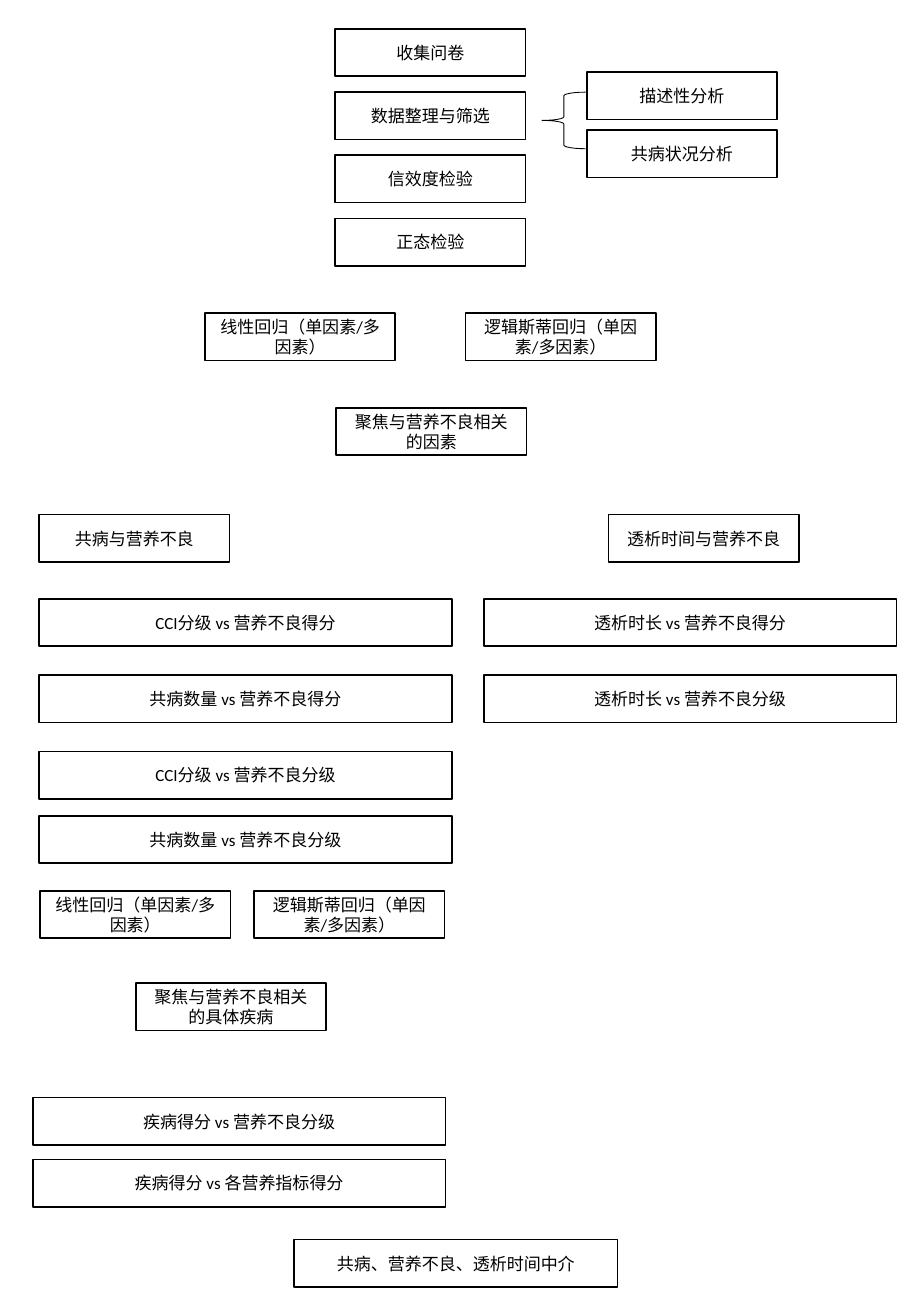
"""Build the flowchart of a study on comorbidity, dialysis time and malnutrition."""
from pptx import Presentation
from pptx.dml.color import RGBColor
from pptx.enum.shapes import MSO_SHAPE
from pptx.enum.text import MSO_ANCHOR, PP_ALIGN
from pptx.util import Inches, Pt

RECTANGLE, LEFT_BRACE = MSO_SHAPE.RECTANGLE, MSO_SHAPE.LEFT_BRACE
MIDDLE, CENTER = MSO_ANCHOR.MIDDLE, PP_ALIGN.CENTER

COLORS = {"box": "FFFFFF", "ink": "000000"}
FONT, FONT_SIZE = "Calibri", Pt(10.1)
SLIDE_WIDTH, SLIDE_HEIGHT = Inches(7.5), Inches(10.83)
NARROW, MEDIUM, WIDE, BOX_HEIGHT = 20.9, 35.5, 45.3, 3.6
REGRESSIONS = ["线性回归（单因素/多因素）", "逻辑斯蒂回归（单因素/多因素）"]


def color(name):
    """Return the named colour."""
    return RGBColor.from_string(COLORS[name])


def add_outline(slide, kind, left, top, width, height, line_width):
    """Add an outlined shape placed in percent of the slide's size."""
    shape = slide.shapes.add_shape(
        kind,
        round(SLIDE_WIDTH * left / 100), round(SLIDE_HEIGHT * top / 100),
        round(SLIDE_WIDTH * width / 100), round(SLIDE_HEIGHT * height / 100))
    shape.shadow.inherit = False
    shape.line.color.rgb = color("ink")
    shape.line.width = line_width
    return shape


def add_box(slide, text, left, top, width=NARROW):
    """Add a white box with centred text."""
    shape = add_outline(slide, RECTANGLE, left, top, width, BOX_HEIGHT, Pt(1))
    shape.fill.solid()
    shape.fill.fore_color.rgb = color("box")
    frame = shape.text_frame
    frame.text = text
    frame.word_wrap = True
    frame.vertical_anchor = MIDDLE
    paragraph = frame.paragraphs[0]
    paragraph.alignment = CENTER
    font = paragraph.runs[0].font
    font.name, font.size = FONT, FONT_SIZE
    font.color.rgb = color("ink")


def add_column(slide, texts, left, top, step, width=NARROW):
    """Stack boxes downwards at an equal step."""
    for index, text in enumerate(texts):
        add_box(slide, text, left, top + index * step, width)


def add_row(slide, texts, left, top, step):
    """Set boxes side by side at an equal step."""
    for index, text in enumerate(texts):
        add_box(slide, text, left + index * step, top)


def add_brace(slide, left, top, width, height):
    """Add a thin unfilled left brace."""
    brace = add_outline(slide, LEFT_BRACE, left, top, width, height, Pt(0.5))
    brace.fill.background()


def main():
    """Lay out the flowchart and save it."""
    presentation = Presentation()
    presentation.slide_width = SLIDE_WIDTH
    presentation.slide_height = SLIDE_HEIGHT
    slide = presentation.slides.add_slide(presentation.slide_layouts[6])

    add_column(slide, ["收集问卷", "数据整理与筛选", "信效度检验", "正态检验"],
               36.8, 2.2, 4.8)
    add_column(slide, ["描述性分析", "共病状况分析"], 64.4, 5.5, 4.4)
    add_brace(slide, 59.5, 7.0, 4.8, 4.3)
    add_row(slide, REGRESSIONS, 22.5, 23.8, 28.6)
    add_box(slide, "聚焦与营养不良相关的因素", 36.9, 31.0)

    add_row(slide, ["共病与营养不良", "透析时间与营养不良"], 4.3, 39.1, 62.5)
    add_column(slide, ["CCI分级 vs 营养不良得分", "共病数量 vs 营养不良得分",
                       "CCI分级 vs 营养不良分级"], 4.3, 45.5, 5.8, WIDE)
    add_box(slide, "共病数量 vs 营养不良分级", 4.3, 62.0, WIDE)
    add_column(slide, ["透析时长 vs 营养不良得分", "透析时长 vs 营养不良分级"],
               53.1, 45.5, 5.8, WIDE)

    add_row(slide, REGRESSIONS, 4.4, 67.7, 23.5)
    add_box(slide, "聚焦与营养不良相关的具体疾病", 14.9, 74.7)
    add_column(slide, ["疾病得分 vs 营养不良分级", "疾病得分 vs 各营养指标得分"],
               3.6, 83.4, 4.7, WIDE)
    add_box(slide, "共病、营养不良、透析时间中介", 32.3, 94.2, MEDIUM)

    presentation.save("out.pptx")


if __name__ == "__main__":
    main()
